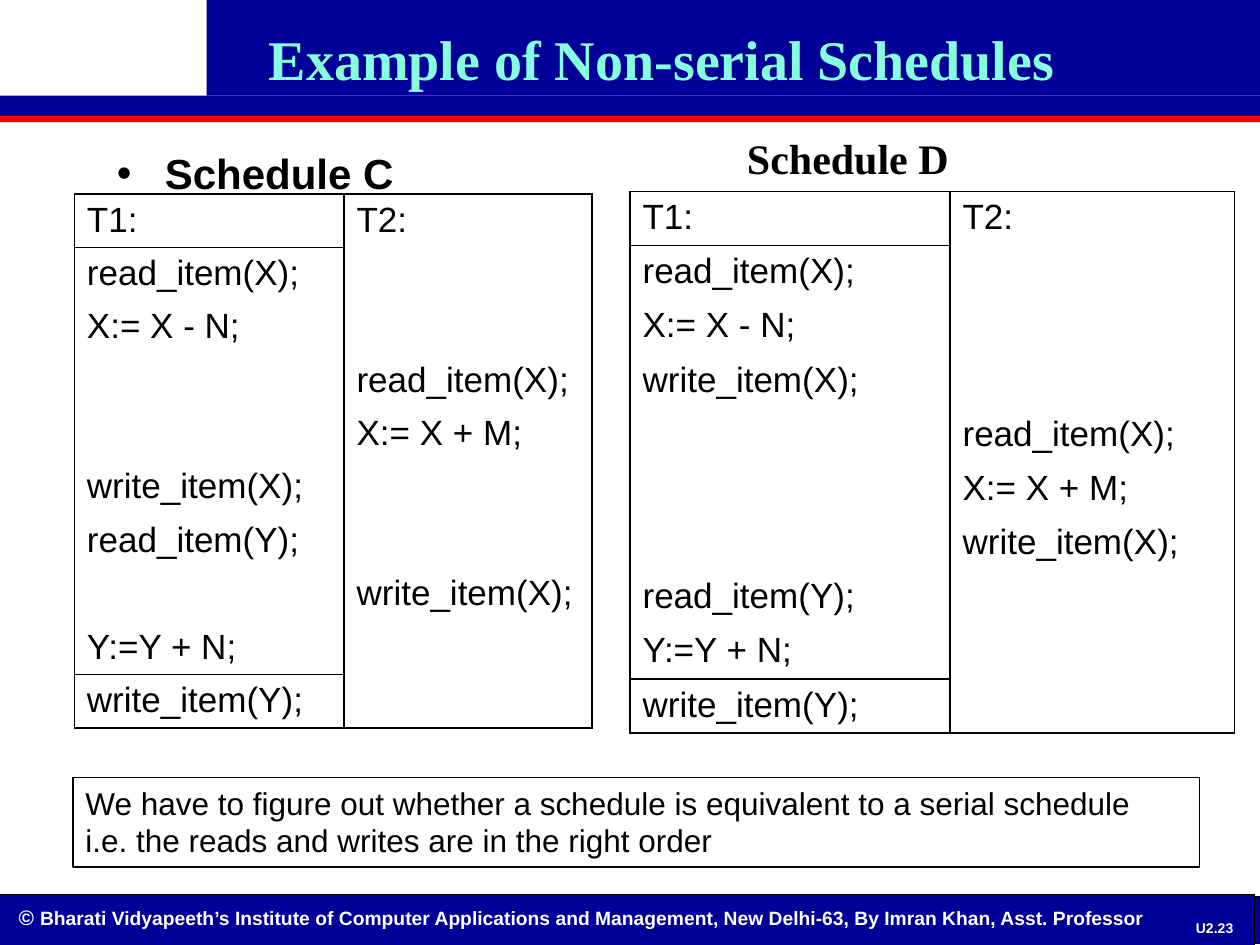
"""Build the slide comparing two non-serial schedules of transactions T1 and T2."""
from dataclasses import dataclass

import pptx
import pptx.dml.color
import pptx.enum.shapes
import pptx.enum.text
import pptx.oxml
import pptx.oxml.ns
import pptx.util

Inches = pptx.util.Inches
Pt = pptx.util.Pt
RGBColor = pptx.dml.color.RGBColor
Align = pptx.enum.text.PP_ALIGN
Anchor = pptx.enum.text.MSO_ANCHOR

NAVY = RGBColor(0x00, 0x00, 0x99)
RED = RGBColor(0xFF, 0x00, 0x00)
AQUA = RGBColor(0x85, 0xFF, 0xE0)
BLACK = RGBColor(0x00, 0x00, 0x00)
WHITE = RGBColor(0xFF, 0xFF, 0xFF)
PLAIN_TABLE_STYLE = "{2D5ABB26-0587-4C30-8999-92F81FD0307C}"
HANGING = 0.38


@dataclass(frozen=True)
class Box:
    left: float
    top: float
    width: float
    height: float

    def lengths(self) -> list:
        return [Inches(value) for value in (self.left, self.top, self.width, self.height)]


@dataclass(frozen=True)
class Bar:
    box: Box
    color: RGBColor
    outlined: bool = False


@dataclass(frozen=True)
class Run:
    text: str
    size: float
    color: RGBColor = BLACK
    bold: bool = True
    name: str = "Arial"


@dataclass(frozen=True)
class Label:
    box: Box
    paragraphs: tuple
    alignment: Align = Align.LEFT
    anchor: Anchor = Anchor.TOP
    bullet: bool = False
    outlined: bool = False


@dataclass(frozen=True)
class Schedule:
    left: float
    top: float
    row_height: float
    column_widths: tuple
    first: tuple
    second: tuple


BARS = (
    Bar(Box(0, 7.12, 10, 0.37), NAVY, True),
    Bar(Box(0, 0.92, 10, 0.05), RED),
    Bar(Box(1.64, 0, 8.36, 0.76), NAVY),
    Bar(Box(0, 0.76, 10, 0.16), NAVY),
    Bar(Box(-0.04, 7.1, 10, 0.43), NAVY, True),
)

LABELS = (
    Label(Box(0.05, 7.13, 9.48, 0.31), ((
        Run("© ", 12, WHITE),
        Run("Bharati Vidyapeeth’s Institute of Computer Applications and Management, "
            "New Delhi-63, By Imran Khan, Asst. Professor", 11, WHITE)),)),
    Label(Box(9.38, 7.25, 0.52, 0.23), ((Run("U2.23", 8, WHITE),),), Align.CENTER, Anchor.MIDDLE),
    Label(Box(0.84, 0.13, 8.83, 0.67),
          ((Run("Example of Non-serial Schedules", 32, AQUA, name="Times New Roman"),),),
          Align.CENTER, Anchor.MIDDLE),
    Label(Box(0.83, 1.2, 4.11, 0.28), ((Run("Schedule C", 24),),), bullet=True),
    Label(Box(5.83, 1, 2.75, 0.67), ((Run("Schedule D", 24, name="Times New Roman"),),)),
    Label(Box(0.58, 6.17, 8.94, 0.71), (
        (Run("We have to figure out whether a schedule is equivalent to a serial schedule",
             18, bold=False),),
        (Run("i.e. the reads and writes are in the right order", 18, bold=False),)), outlined=True),
)

SCHEDULES = (
    Schedule(0.59, 1.54, 0.41, (2.14, 1.97),
             ("T1:", "read_item(X);", "X:= X - N;", "", "", "write_item(X);",
              "read_item(Y);", "", "Y:=Y + N;", "write_item(Y);"),
             ("T2:", "", "", "read_item(X);", "X:= X + M;", "", "",
              "write_item(X);", "", "")),
    Schedule(5, 1.52, 0.43, (2.54, 2.26),
             ("T1:", "read_item(X);", "X:= X - N;", "write_item(X);", "", "", "",
              "read_item(Y);", "Y:=Y + N;", "write_item(Y);"),
             ("T2:", "", "", "", "read_item(X);", "X:= X + M;", "write_item(X);",
              "", "", "")),
)


def add_run(paragraph, run: Run) -> None:
    text_run = paragraph.add_run()
    text_run.text = run.text
    values = {"size": Pt(run.size), "bold": run.bold, "name": run.name}
    for attribute, value in values.items():
        setattr(text_run.font, attribute, value)
    text_run.font.color.rgb = run.color


def hang(paragraph) -> None:
    properties = paragraph._p.get_or_add_pPr()
    properties.set("marL", str(Inches(HANGING)))
    properties.set("indent", str(-Inches(HANGING)))


def add_bullet(paragraph) -> None:
    hang(paragraph)
    paragraph.line_spacing = 0.8
    namespace = pptx.oxml.ns.nsdecls("a")
    for markup in (f'<a:buFont {namespace} typeface="Arial"/>', f'<a:buChar {namespace} char="•"/>'):
        paragraph._p.get_or_add_pPr().append(pptx.oxml.parse_xml(markup))


def add_bar(slide, bar: Bar) -> None:
    shape = slide.shapes.add_shape(pptx.enum.shapes.MSO_SHAPE.RECTANGLE, *bar.box.lengths())
    shape.shadow.inherit = False
    shape.fill.solid()
    shape.fill.fore_color.rgb = bar.color
    if bar.outlined:
        shape.line.color.rgb = BLACK
        shape.line.width = Pt(0.75)
    else:
        shape.line.fill.background()


def add_label(slide, label: Label) -> None:
    shape = slide.shapes.add_textbox(*label.box.lengths())
    if label.outlined:
        shape.line.color.rgb = BLACK
        shape.line.width = Pt(1)
    frame = shape.text_frame
    for attribute, value in {"word_wrap": True, "vertical_anchor": label.anchor}.items():
        setattr(frame, attribute, value)
    for index, runs in enumerate(label.paragraphs):
        paragraph = frame.add_paragraph() if index else frame.paragraphs[0]
        paragraph.alignment = label.alignment
        if label.bullet:
            add_bullet(paragraph)
        for run in runs:
            add_run(paragraph, run)


def add_borders(cell, sides: str) -> None:
    properties = cell._tc.get_or_add_tcPr()
    for side in sides:
        properties.append(pptx.oxml.parse_xml(
            f'<a:ln{side} {pptx.oxml.ns.nsdecls("a")} w="{Pt(1)}"><a:solidFill>'
            f'<a:srgbClr val="{BLACK}"/></a:solidFill></a:ln{side}>'))


def add_schedule(slide, schedule: Schedule) -> None:
    row_count = len(schedule.first)
    box = Box(schedule.left, schedule.top, sum(schedule.column_widths),
              schedule.row_height * row_count)
    table = slide.shapes.add_table(row_count, 2, *box.lengths()).table
    table._tbl.tblPr.find(pptx.oxml.ns.qn("a:tableStyleId")).text = PLAIN_TABLE_STYLE
    table.first_row = table.horz_banding = False
    for column, width in zip(table.columns, schedule.column_widths):
        column.width = Inches(width)
    ruled_below = ({0, row_count - 2, row_count - 1}, {row_count - 1})
    for column_index, steps in enumerate((schedule.first, schedule.second)):
        for row_index, step in enumerate(steps):
            table.rows[row_index].height = Inches(schedule.row_height)
            cell = table.cell(row_index, column_index)
            cell.margin_top, cell.margin_bottom = Inches(0.05), Inches(0.04)
            below = row_index in ruled_below[column_index]
            add_borders(cell, "LR" + "T" * (row_index == 0) + "B" * below)
            cell.fill.background()
            if step:
                paragraph = cell.text_frame.paragraphs[0]
                hang(paragraph)
                add_run(paragraph, Run(step, 20, bold=False))


def main() -> None:
    presentation = pptx.Presentation()
    presentation.slide_width, presentation.slide_height = Inches(10), Inches(7.5)
    slide = presentation.slides.add_slide(presentation.slide_layouts[6])
    for draw, items in ((add_bar, BARS), (add_label, LABELS), (add_schedule, SCHEDULES)):
        for item in items:
            draw(slide, item)
    presentation.save("out.pptx")


if __name__ == "__main__":
    main()
